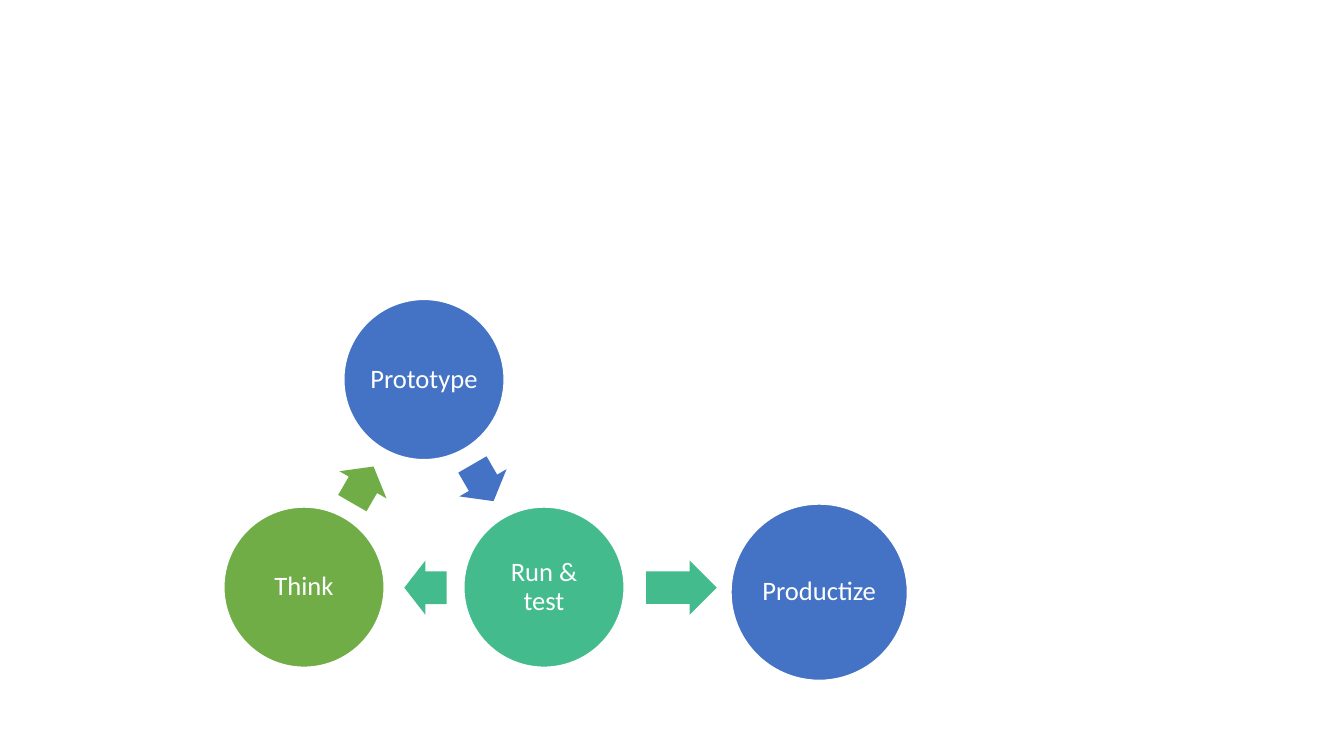
from pptx import Presentation
from pptx import util as u
from pptx.dml.color import RGBColor
from pptx.enum import shapes, text

COLORS = {"blue": "4472C4", "teal": "43BB8D", "green": "70AD47", "white": "FFFFFF"}


class CycleSlide:
    font = "Calibri"
    size = u.Pt(19)
    inset = u.Inches(0.02)

    def __init__(self, slide):
        self.slide = slide

    def color(self, name):
        return RGBColor.from_string(COLORS[name])

    def shape(self, kind, left, top, width, height, color):
        item = self.slide.shapes.add_shape(
            kind, *(u.Inches(value) for value in (left, top, width, height)))
        item.shadow.inherit = False
        item.fill.solid()
        item.fill.fore_color.rgb = self.color(color)
        return item

    def step(self, label, left, top, diameter, color):
        circle = self.shape(shapes.MSO_SHAPE.OVAL, left, top, diameter, diameter, color)
        circle.line.color.rgb = self.color("white")
        circle.line.width = u.Pt(1)
        frame = circle.text_frame
        frame.word_wrap = True
        frame.vertical_anchor = text.MSO_ANCHOR.MIDDLE
        frame.margin_left = frame.margin_right = self.inset
        frame.margin_top = frame.margin_bottom = self.inset
        paragraph = frame.paragraphs[0]
        paragraph.alignment = text.PP_ALIGN.CENTER
        paragraph.line_spacing = 0.9
        run = paragraph.add_run()
        run.text = label
        run.font.name = self.font
        run.font.size = self.size
        run.font.color.rgb = self.color("white")

    def arrow(self, left, top, length, color, rotation=0):
        arrow = self.shape(shapes.MSO_SHAPE.RIGHT_ARROW, left, top, length, 0.54, color)
        arrow.line.fill.background()
        arrow.adjustments[0] = 0.6
        arrow.adjustments[1] = 0.5
        arrow.rotation = rotation


def main():
    deck = Presentation()
    deck.slide_width = u.Inches(13.33)
    deck.slide_height = u.Inches(7.5)
    cycle = CycleSlide(deck.slides.add_slide(deck.slide_layouts[6]))

    cycle.step("Prototype", 3.41, 2.97, 1.59, "blue")
    cycle.arrow(4.58, 4.52, 0.42, "blue", 60)
    cycle.step("Run & test", 4.6, 5.03, 1.59, "teal")
    cycle.arrow(4.01, 5.56, 0.42, "teal", 180)
    cycle.step("Think", 2.22, 5.03, 1.59, "green")
    cycle.arrow(3.39, 4.54, 0.42, "green", 300)
    cycle.step("Productize", 7.25, 5, 1.75, "blue")
    cycle.arrow(6.41, 5.56, 0.7, "teal")

    deck.save("out.pptx")


if __name__ == "__main__":
    main()
